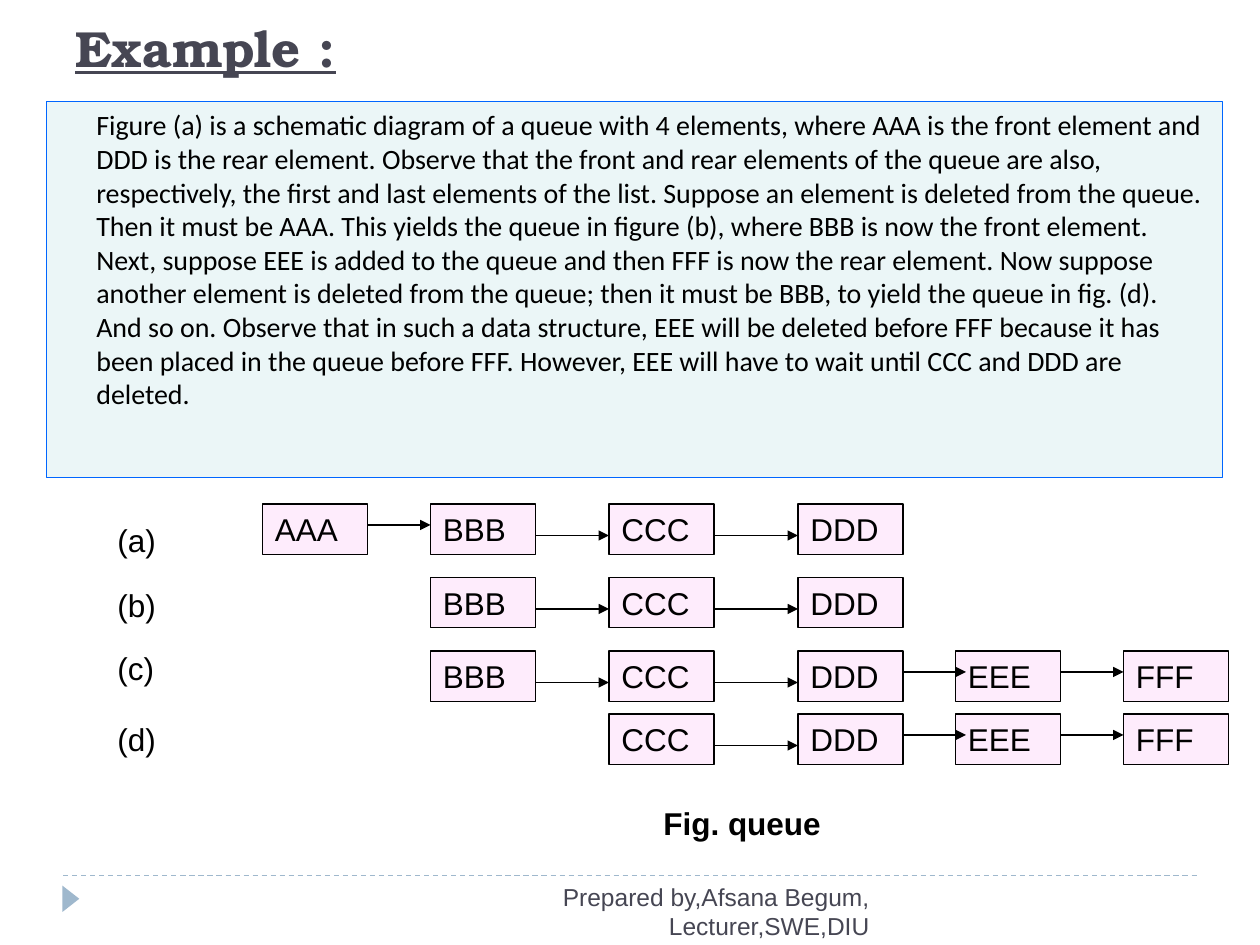
import pptx
import pptx.dml.color
import pptx.enum.dml
import pptx.enum.shapes
import pptx.enum.text
import pptx.oxml
import pptx.oxml.ns
import pptx.util

RGB = pptx.dml.color.RGBColor
ALIGN = pptx.enum.text.PP_ALIGN
ANCHOR = pptx.enum.text.MSO_ANCHOR
SHAPE = pptx.enum.shapes.MSO_SHAPE

BLACK = RGB(0x00, 0x00, 0x00)
SLATE = RGB(0x46, 0x46, 0x53)
STEEL = RGB(0x9F, 0xB8, 0xCD)
PALE_TEAL = RGB(0xEB, 0xF6, 0xF7)
BLUE = RGB(0x00, 0x66, 0xFF)
PINK = RGB(0xFE, 0xEC, 0xFC)

GRID = pptx.util.Inches(1) / 12
COLUMNS, ROWS = 120, 90
NODE_WIDTH, NODE_HEIGHT = 10, 4.8

NODE_COLUMNS = {"AAA": 0, "BBB": 16, "CCC": 33, "DDD": 51, "EEE": 66, "FFF": 82}
SHORT_LINKS = {"AAA": 6, "DDD": 6, "EEE": 6}
QUEUES = [
    ("(a)", 1, 0, ["AAA", "BBB", "CCC", "DDD"]),
    ("(b)", 7.2, 7, ["BBB", "CCC", "DDD"]),
    ("(c)", 13.2, 14, ["BBB", "CCC", "DDD", "EEE", "FFF"]),
    ("(d)", 20, 20, ["CCC", "DDD", "EEE", "FFF"]),
]

PASSAGE = (
    "Figure (a) is a schematic diagram of a queue with 4 elements, where AAA is the front "
    "element and DDD is the rear element. Observe that the front and rear elements of the "
    "queue are also, respectively, the first and last elements of the list. Suppose an element "
    "is deleted from the queue. Then it must be AAA. This yields the queue in figure (b), where "
    "BBB is now the front element. Next, suppose EEE is added to the queue and then FFF is now "
    "the rear element. Now suppose another element is deleted from the queue; then it must be "
    "BBB, to yield the queue in fig. (d). And so on. Observe that in such a data structure, EEE "
    "will be deleted before FFF because it has been placed in the queue before FFF. However, "
    "EEE will have to wait until CCC and DDD are deleted."
)


def cells(*values):
    return [pptx.util.Emu(round(value * GRID)) for value in values]


def write(shape, text, size=18, font="Arial", color=BLACK, bold=False,
          align=ALIGN.LEFT, anchor=ANCHOR.TOP):
    frame = shape.text_frame
    frame.word_wrap = True
    frame.vertical_anchor = anchor
    paragraph = frame.paragraphs[0]
    paragraph.text = text
    paragraph.alignment = align
    paragraph.font.size = pptx.util.Pt(size)
    paragraph.font.name = font
    paragraph.font.bold = bold
    paragraph.font.color.rgb = color
    return paragraph


def add_label(slide, box, text, **style):
    return write(slide.shapes.add_textbox(*cells(*box)), text, **style)


def add_filled(slide, kind, box, fill, outline=None):
    shape = slide.shapes.add_shape(kind, *cells(*box))
    shape.shadow.inherit = False
    shape.fill.solid()
    shape.fill.fore_color.rgb = fill
    if outline is None:
        shape.line.fill.background()
    else:
        shape.line.color.rgb = outline
        shape.line.width = pptx.util.Pt(0.75)
    return shape


def add_rule(slide, start, end, color):
    rule = slide.shapes.add_connector(
        pptx.enum.shapes.MSO_CONNECTOR.STRAIGHT, *cells(*start, *end))
    rule.line.color.rgb = color
    rule.line.width = pptx.util.Pt(0.75)
    properties = rule.element.spPr
    properties.append(pptx.oxml.parse_xml(
        "<a:effectLst %s/>" % pptx.oxml.ns.nsdecls("a")))
    return rule


def add_link(slide, start, length):
    left, top = start
    link = add_rule(slide, start, (left + length, top), BLACK)
    link.line._get_or_add_ln().append(pptx.oxml.parse_xml(
        '<a:tailEnd type="triangle" %s/>' % pptx.oxml.ns.nsdecls("a")))


def add_heading(slide, box):
    heading = add_label(slide, box, "Example :", size=29, font="TeX Gyre Bonum",
                        color=SLATE, bold=True, anchor=ANCHOR.MIDDLE)
    heading.font.underline = True


def add_passage(slide, box):
    panel = add_filled(slide, SHAPE.RECTANGLE, box, PALE_TEAL, BLUE)
    passage = write(panel, PASSAGE, size=16, font="Calibri")
    passage._p.get_or_add_pPr().set("marL", str(pptx.util.Inches(0.3)))


def add_queue(slide, left, top, elements):
    for position, element in enumerate(elements):
        column = left + NODE_COLUMNS[element]
        node = add_filled(slide, SHAPE.RECTANGLE,
                          (column, top, NODE_WIDTH, NODE_HEIGHT), PINK, BLACK)
        write(node, element)
        if position:
            previous = elements[position - 1]
            start = left + NODE_COLUMNS[previous] + NODE_WIDTH
            length = SHORT_LINKS.get(previous, column - start)
            drop = 2 if previous in SHORT_LINKS else 3
            add_link(slide, (start, top + drop), length)


def add_figure(slide, box):
    left, top, width, height = box
    for label, label_row, queue_row, elements in QUEUES:
        add_label(slide, (left, top + label_row, 12, NODE_HEIGHT), label)
        add_queue(slide, left + 15, top + queue_row, elements)
    add_label(slide, (left + 52, top + height - NODE_HEIGHT, 21, NODE_HEIGHT),
              "Fig. queue", bold=True)


def add_footer(slide, box):
    left, top, width, height = box
    rule = add_rule(slide, (left, top), (left + width, top), STEEL)
    rule.line.dash_style = pptx.enum.dml.MSO_LINE.DASH
    marker = add_filled(slide, SHAPE.ISOSCELES_TRIANGLE,
                        (left - 0.5, top + 1.4, 2.5, 1.6), STEEL)
    marker.rotation = 90
    add_label(slide, (left + 32, top, 46, height),
              "Prepared by,Afsana Begum, Lecturer,SWE,DIU",
              size=14, color=SLATE, align=ALIGN.RIGHT)


def main():
    deck = pptx.Presentation()
    deck.slide_width, deck.slide_height = cells(COLUMNS, ROWS)
    slide = deck.slides.add_slide(deck.slide_layouts[6])
    add_footer(slide, (6, 83.4, 108, 4.8))
    add_heading(slide, (6, 1, 108, 7))
    add_passage(slide, (4.4, 9.7, 112, 35.8))
    add_figure(slide, (10, 48, 107, 32.8))
    deck.save("out.pptx")


if __name__ == "__main__":
    main()
